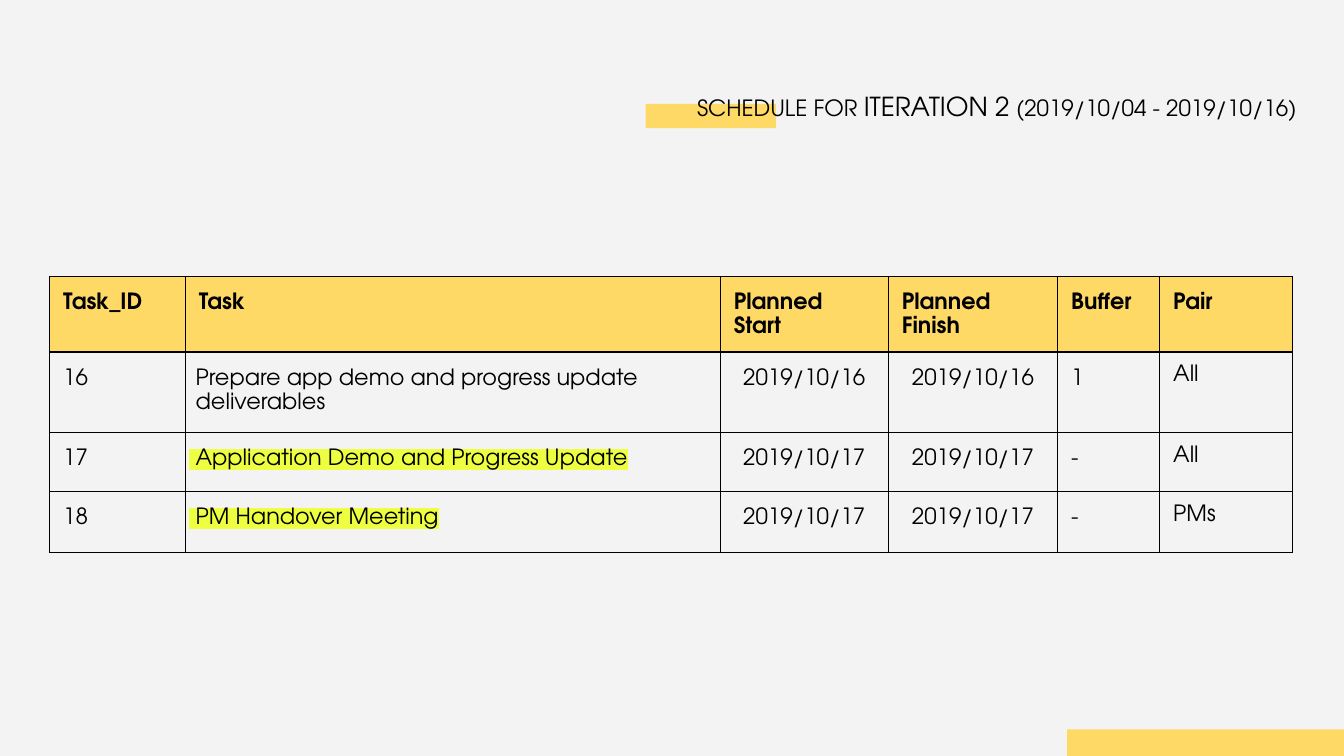
from lxml.etree import SubElement
from pptx import Presentation
from pptx.dml.color import RGBColor
from pptx.enum.shapes import MSO_SHAPE
from pptx.enum.text import MSO_ANCHOR, MSO_AUTO_SIZE, PP_ALIGN
from pptx.oxml import parse_xml
from pptx.oxml.ns import nsdecls, qn
from pptx.util import Inches, Pt

WIDE = 10
HIGH = WIDE * 9 / 16
ACROSS, DOWN = WIDE / 100, HIGH / 100  # one percent of the slide
FONT = "TeX Gyre Adventor"
BLACK = RGBColor(0x00, 0x00, 0x00)
PAPER = RGBColor(0xF3, 0xF3, 0xF3)
GOLD = RGBColor(0xFF, 0xD9, 0x66)
LIME = RGBColor(0xEE, 0xFF, 0x41)

COLS = [1.01, 3.98, 1.25, 1.26, 0.76, 0.99]
ROWS = [0.56, 0.6, 0.44, 0.45]
HEAD = ["Task_ID", "Task", "Planned Start", "Planned Finish", "Buffer", "Pair"]
TASKS = [
    ["16", " Prepare app demo and progress update\n deliverables",
     "2019/10/16", "2019/10/16", "1", "All"],
    ["17", " Application Demo and Progress Update",
     "2019/10/17", "2019/10/17", "-", "All"],
    ["18", " PM Handover Meeting",
     "2019/10/17", "2019/10/17", "-", "PMs"],
]
MARKED = {"17", "18"}
TASK, DATES, PAIR = 1, (2, 3), 5


def style(run, size=12, bold=False):
    font = run.font
    font.name, font.size, font.bold = FONT, Pt(size), bold
    font.color.rgb = BLACK


def mark(run):
    """Highlight a run; the element belongs right after the text fill."""
    glow = parse_xml(f'<a:highlight {nsdecls("a")}>'
                     f'<a:srgbClr val="{LIME}"/></a:highlight>')
    run.font._element.find(qn("a:solidFill")).addnext(glow)


def pad(frame, side=0.1):
    frame.margin_left = frame.margin_right = Inches(side)
    frame.margin_top = frame.margin_bottom = Inches(0.1)


def border(cell):
    props = cell._tc.get_or_add_tcPr()
    for spot, side in enumerate(("lnL", "lnR", "lnT", "lnB")):
        line = parse_xml(f'<a:{side} {nsdecls("a")} w="{Pt(0.75)}"/>')
        fill = SubElement(line, qn("a:solidFill"))
        SubElement(fill, qn("a:srgbClr"), val=str(BLACK))
        props.insert(spot, line)


def bar(slide, left, top, width, height):
    shape = slide.shapes.add_shape(
        MSO_SHAPE.RECTANGLE, Inches(left), Inches(top),
        Inches(width), Inches(height))
    shape.shadow.inherit = False
    shape.fill.solid()
    shape.fill.fore_color.rgb = GOLD
    shape.line.fill.background()


def heading(slide, left, top, width, height):
    # Gold accent behind the start of the title
    bar(slide, left + 0.28 * width, top + 0.39 * height, 0.97, 0.18)
    title = slide.shapes.title
    slide.shapes._spTree.append(title._element)  # bring to front
    title.left, title.top = Inches(left), Inches(top)
    title.width, title.height = Inches(width), Inches(height)
    frame = title.text_frame
    pad(frame)
    frame.word_wrap = True
    frame.auto_size = MSO_AUTO_SIZE.NONE
    frame.vertical_anchor = MSO_ANCHOR.BOTTOM
    para = frame.paragraphs[0]
    para.alignment = PP_ALIGN.RIGHT
    for text, size in (("SCHEDULE FOR ", 12), ("ITERATION 2", 14),
                       (" (2019/10/04 - 2019/10/16)", 12)):
        run = para.add_run()
        run.text = text
        style(run, size)


def fill_cell(cell, text, col, head, lit):
    frame = cell.text_frame
    frame.text = text
    tight = not head and (col == TASK or col in DATES)
    pad(cell, 0.03 if tight else 0.1)
    for para in frame.paragraphs:
        if head or col != PAIR:
            para.line_spacing = 1.15
        if not head and col in DATES:
            para.alignment = PP_ALIGN.CENTER
        for run in para.runs:
            style(run, bold=head)
            if lit:
                mark(run)
    if head:
        cell.fill.solid()
        cell.fill.fore_color.rgb = GOLD
    else:
        cell.fill.background()
    border(cell)


def schedule(slide, left, top):
    grid = slide.shapes.add_table(
        len(ROWS), len(COLS), Inches(left), Inches(top),
        Inches(sum(COLS)), Inches(sum(ROWS))).table
    grid.horz_banding = False
    for col, width in zip(grid.columns, COLS):
        col.width = Inches(width)
    for row, height in zip(grid.rows, ROWS):
        row.height = Inches(height)
    for r, texts in enumerate([HEAD] + TASKS):
        for c, text in enumerate(texts):
            lit = c == TASK and texts[0] in MARKED
            fill_cell(grid.cell(r, c), text, c, r == 0, lit)


def main():
    deck = Presentation()
    deck.slide_width, deck.slide_height = Inches(WIDE), Inches(HIGH)
    slide = deck.slides.add_slide(deck.slide_layouts[5])
    slide.background.fill.solid()
    slide.background.fill.fore_color.rgb = PAPER

    schedule(slide, 3.7 * ACROSS, 36.6 * DOWN)
    # Corner bar at the bottom right
    bar(slide, 79.4 * ACROSS, 96.5 * DOWN, 20.6 * ACROSS, 3.5 * DOWN)
    heading(slide, 28.8 * ACROSS, 11.1 * DOWN, 68.7 * ACROSS, 6.8 * DOWN)
    deck.save("out.pptx")


if __name__ == "__main__":
    main()
